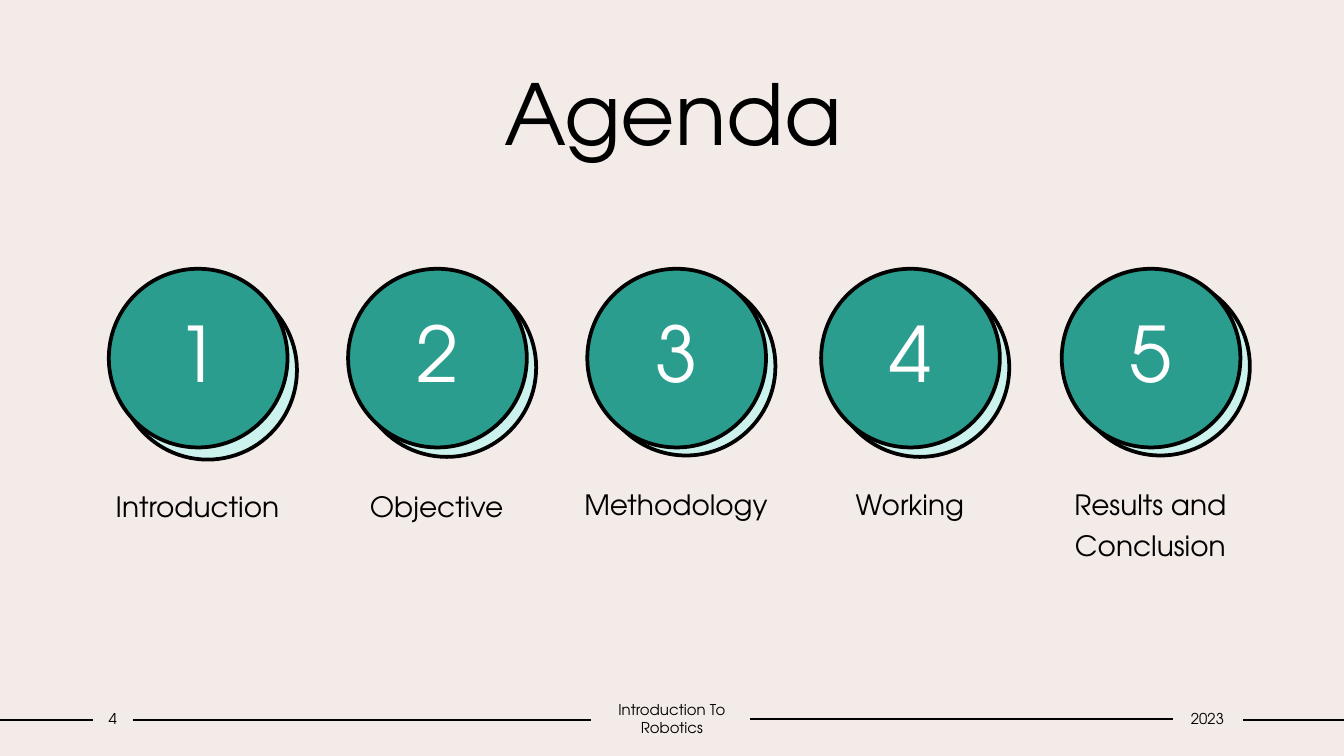
"""Build the agenda slide with five numbered circles and a ruled footer."""
from lxml import etree
from pptx import Presentation
from pptx import util as u
from pptx.dml.color import RGBColor
from pptx.enum import shapes, text
from pptx.oxml.ns import qn

COLORS = {"background": "F3EBE8", "ink": "000000", "teal": "2A9D8F", "mint": "CCF2ED", "white": "FFFFFF"}
FONT = "TeX Gyre Adventor"
DIAMETER = 1.33


def write(box, words, size, color="ink", spacing=1.0, anchor=text.MSO_ANCHOR.TOP, side=0.07):
    frame = box.text_frame
    settings = {
        "word_wrap": True, "auto_size": text.MSO_AUTO_SIZE.NONE, "vertical_anchor": anchor,
        "margin_left": u.Inches(side), "margin_right": u.Inches(side),
        "margin_top": u.Inches(0.04), "margin_bottom": u.Inches(0.04),
    }
    for name, value in settings.items():
        setattr(frame, name, value)
    para = frame.paragraphs[0]
    para.alignment = text.PP_ALIGN.CENTER
    para.line_spacing = spacing
    span = para.add_run()
    span.text = words
    for name, value in {"name": FONT, "size": u.Pt(size), "bold": False}.items():
        setattr(span.font, name, value)
    span.font.color.rgb = RGBColor.from_string(COLORS[color])


def add_circle(page, left, top, color):
    circle = page.shapes.add_shape(
        shapes.MSO_SHAPE.OVAL, u.Inches(left), u.Inches(top), u.Inches(DIAMETER), u.Inches(DIAMETER))
    circle.shadow.inherit = False
    circle.fill.solid()
    circle.fill.fore_color.rgb = RGBColor.from_string(COLORS[color])
    circle.line.color.rgb = RGBColor.from_string(COLORS["ink"])
    circle.line.width = u.Pt(2)
    return circle


deck = Presentation()
deck.slide_width, deck.slide_height = u.Inches(10), u.Inches(10 * 9 / 16)
page = deck.slides.add_slide(deck.slide_layouts[5])
page.background.fill.solid()
page.background.fill.fore_color.rgb = RGBColor.from_string(COLORS["background"])

title = page.shapes.title
title_place = {"left": 0.94, "top": 0.42, "width": 8.13, "height": 0.83}
for name, value in title_place.items():
    setattr(title, name, u.Inches(value))
write(title, "Agenda", 45)

for start, end, height in [(0, 0.69, 5.36), (0.99, 4.4, 5.36), (5.58, 8.73, 5.35), (9.25, 10, 5.36)]:
    rule = page.shapes.add_connector(
        shapes.MSO_CONNECTOR.STRAIGHT, u.Inches(start), u.Inches(height), u.Inches(end), u.Inches(height))
    rule.line.color.rgb = RGBColor.from_string(COLORS["ink"])
    rule.line.width = u.Pt(1)
    etree.SubElement(rule.line._ln.getparent(), qn("a:effectLst"))

agenda = [
    ("Introduction", 0.81, 2.09, 3.55),
    ("Objective", 2.59, 2.07, 3.55),
    ("Methodology", 4.37, 2.06, 3.54),
    ("Working", 6.11, 2.07, 3.54),
    ("Results and Conclusion", 7.9, 2.06, 3.54),
]
for number, (topic, left, back_top, label_top) in enumerate(agenda, start=1):
    add_circle(page, left + 0.07, back_top, "mint")
    disc = add_circle(page, left, 2, "teal")
    write(disc, str(number), 41, "white", 0.9, text.MSO_ANCHOR.MIDDLE)
    label = page.shapes.add_textbox(
        u.Inches(left - 0.14), u.Inches(label_top), u.Inches(1.6), u.Inches(0.52))
    write(label, topic, 15, spacing=1.2)

for words, left, width in [("4", 0.69, 0.3), ("Introduction To Robotics", 4.4, 1.2), ("2023", 8.72, 0.53)]:
    footer = page.shapes.add_textbox(u.Inches(left), u.Inches(5.25), u.Inches(width), u.Inches(0.2))
    write(footer, words, 8, anchor=text.MSO_ANCHOR.MIDDLE, side=0)

deck.save("out.pptx")
